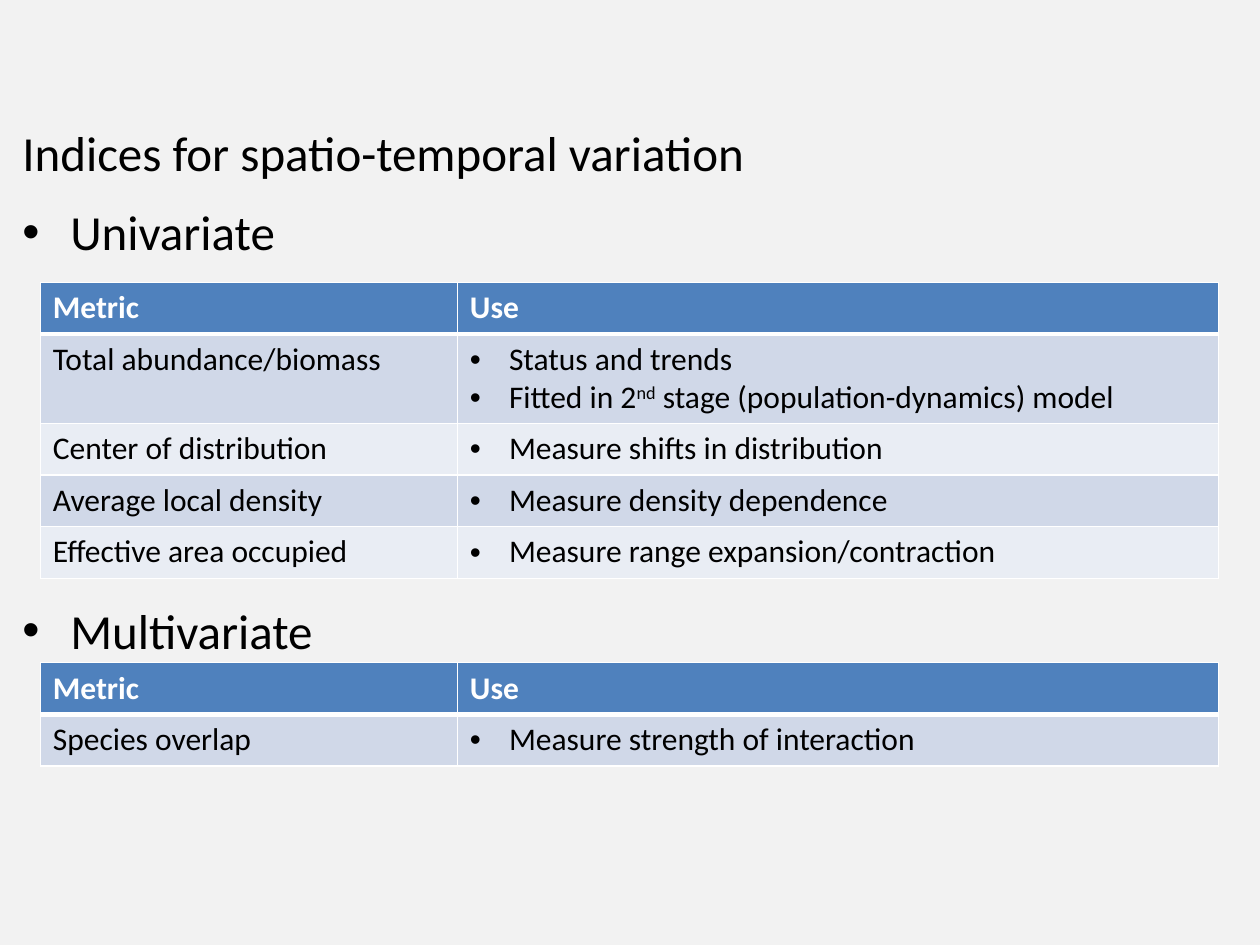
from dataclasses import dataclass

from lxml.etree import SubElement
from pptx import Presentation
from pptx.dml.color import RGBColor
from pptx.oxml.ns import qn
from pptx.util import Inches, Pt

FONT = "Calibri"
BACKGROUND = RGBColor(0xF2, 0xF2, 0xF2)
BLACK = RGBColor(0x00, 0x00, 0x00)
WHITE = RGBColor(0xFF, 0xFF, 0xFF)
HEADER_BLUE = RGBColor(0x4F, 0x81, 0xBD)
BANDS = (RGBColor(0xD0, 0xD8, 0xE8), RGBColor(0xE9, 0xED, 0xF4))

SLIDE_WIDTH, SLIDE_HEIGHT = Inches(10), Inches(7.5)
TABLE_LEFT = Inches(0.32)
COLUMN_WIDTHS = (Inches(3.31), Inches(6.04))
ROW_HEIGHT, EXTRA_LINE = Inches(0.41), Inches(0.3)


@dataclass(frozen=True)
class OutlineLine:
    text: str
    bulleted: bool = True
    space_before: int = 6


@dataclass(frozen=True)
class Metric:
    name: str
    uses: tuple[str, ...]


@dataclass(frozen=True)
class MetricTable:
    top: float
    metrics: tuple[Metric, ...]


OUTLINE = (
    OutlineLine("Indices for spatio-temporal variation", bulleted=False),
    OutlineLine("Univariate"),
    OutlineLine("Multivariate", space_before=188),
)
TABLES = (
    MetricTable(2.24, (
        Metric("Total abundance/biomass", (
            "Status and trends",
            "Fitted in 2^nd^ stage (population-dynamics) model",
        )),
        Metric("Center of distribution", ("Measure shifts in distribution",)),
        Metric("Average local density", ("Measure density dependence",)),
        Metric("Effective area occupied", ("Measure range expansion/contraction",)),
    )),
    MetricTable(5.26, (
        Metric("Species overlap", ("Measure strength of interaction",)),
    )),
)


def add_bullet(paragraph, indent: float) -> None:
    """Give the paragraph a round bullet with a hanging indent in inches."""
    properties = paragraph._p.get_or_add_pPr()
    properties.set("marL", str(Inches(indent)))
    properties.set("indent", str(-Inches(indent)))
    SubElement(properties, qn("a:buFont"), typeface="Arial")
    SubElement(properties, qn("a:buChar"), char="•")


def write_text(paragraph, text: str, size: int, color: RGBColor, bold: bool = False) -> None:
    """Write styled text, raising whatever stands between carets."""
    for index, part in enumerate(text.split("^")):
        run = paragraph.add_run()
        run.text = part
        run.font.name = FONT
        run.font.size = Pt(size)
        run.font.bold = bold
        run.font.color.rgb = color
        if index % 2:
            run._r.get_or_add_rPr().set("baseline", "30000")


def style_cell(cell, fill: RGBColor, top: int, bottom: int) -> None:
    """Fill the cell and rule its four sides in white."""
    cell.fill.solid()
    cell.fill.fore_color.rgb = fill
    properties = cell._tc.get_or_add_tcPr()
    sides = (("a:lnL", 1), ("a:lnR", 1), ("a:lnT", top), ("a:lnB", bottom))
    for position, (tag, width) in enumerate(sides):
        border = SubElement(properties, qn(tag), w=str(Pt(width)))
        solid = SubElement(border, qn("a:solidFill"))
        SubElement(solid, qn("a:srgbClr"), val=str(WHITE))
        properties.insert(position, border)


def add_outline(slide, lines: tuple[OutlineLine, ...]) -> None:
    """Add the heading and the bulleted section names in one text box."""
    text_box = slide.shapes.add_textbox(Inches(0.08), Inches(0.92), Inches(9.83), Inches(6.5))
    text_frame = text_box.text_frame
    text_frame.word_wrap = True
    for index, line in enumerate(lines):
        paragraph = text_frame.add_paragraph() if index else text_frame.paragraphs[0]
        paragraph.space_before = Pt(line.space_before)
        paragraph.space_after = Pt(6)
        write_text(paragraph, line.text, 28, BLACK)
        if line.bulleted:
            add_bullet(paragraph, 0.38)


def add_metric_table(slide, content: MetricTable) -> None:
    """Add a table with a header row and one banded row for each metric."""
    heights = [ROW_HEIGHT]
    heights += [ROW_HEIGHT + EXTRA_LINE * (len(metric.uses) - 1) for metric in content.metrics]
    table = slide.shapes.add_table(
        len(heights), len(COLUMN_WIDTHS), TABLE_LEFT, Inches(content.top),
        sum(COLUMN_WIDTHS), sum(heights),
    ).table
    for column, width in zip(table.columns, COLUMN_WIDTHS):
        column.width = width
    for row, height in zip(table.rows, heights):
        row.height = height

    for cell, title in zip(table.rows[0].cells, ("Metric", "Use")):
        write_text(cell.text_frame.paragraphs[0], title, 18, WHITE, bold=True)
        style_cell(cell, HEADER_BLUE, top=1, bottom=3)

    for index, metric in enumerate(content.metrics):
        name_cell, use_cell = table.rows[index + 1].cells
        write_text(name_cell.text_frame.paragraphs[0], metric.name, 18, BLACK)
        for position, use in enumerate(metric.uses):
            text_frame = use_cell.text_frame
            paragraph = text_frame.add_paragraph() if position else text_frame.paragraphs[0]
            write_text(paragraph, use, 18, BLACK)
            add_bullet(paragraph, 0.31)
        for cell in (name_cell, use_cell):
            style_cell(cell, BANDS[index % 2], top=1 if index else 3, bottom=1)


def main() -> None:
    """Build and save the slide."""
    presentation = Presentation()
    presentation.slide_width, presentation.slide_height = SLIDE_WIDTH, SLIDE_HEIGHT
    slide = presentation.slides.add_slide(presentation.slide_layouts[6])
    slide.background.fill.solid()
    slide.background.fill.fore_color.rgb = BACKGROUND
    add_outline(slide, OUTLINE)
    for content in TABLES:
        add_metric_table(slide, content)
    presentation.save("out.pptx")


if __name__ == "__main__":
    main()
